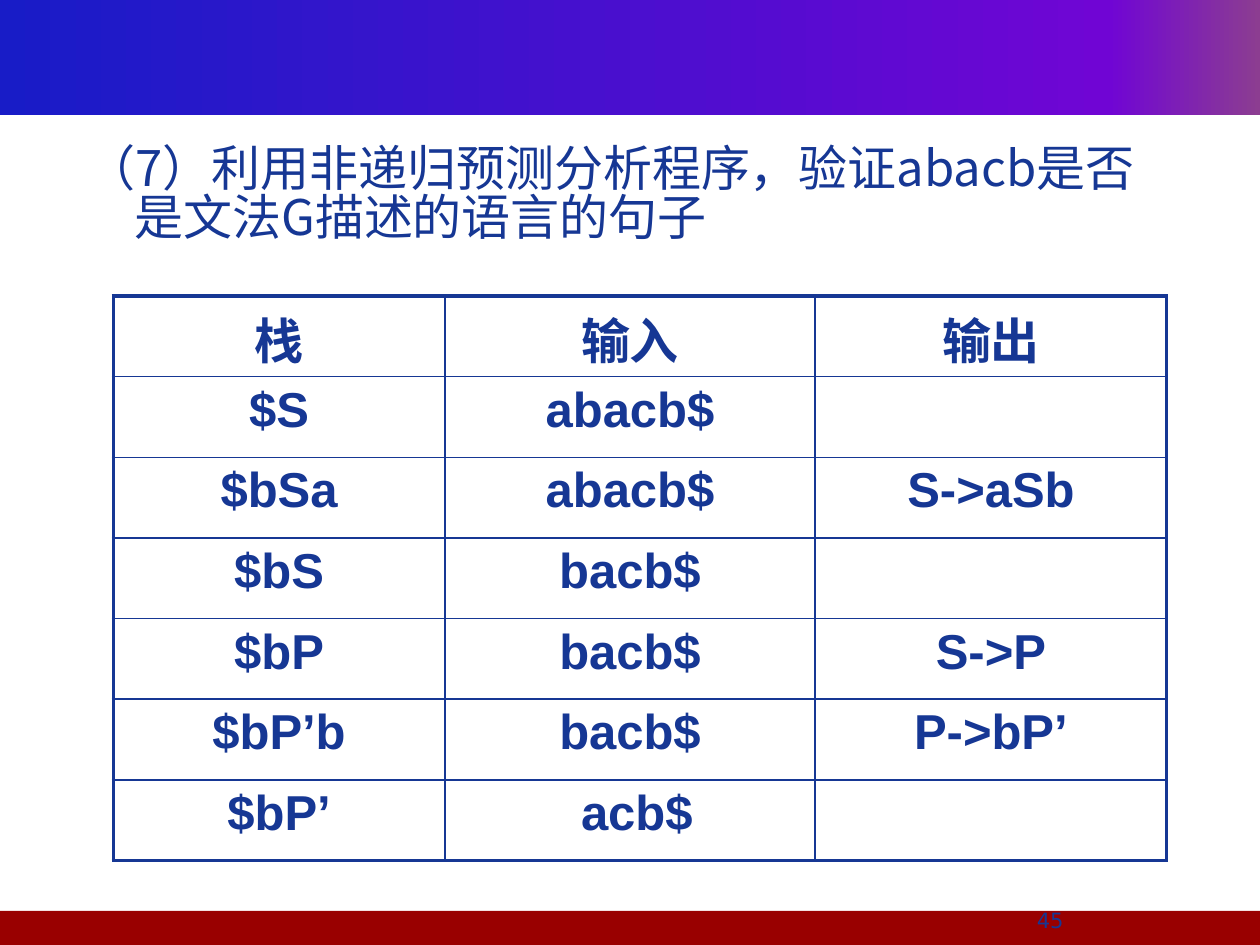
"""Build the slide that traces predictive parsing of abacb in a table."""
from lxml.etree import SubElement
from pptx import Presentation
from pptx.dml.color import RGBColor
from pptx.enum.shapes import MSO_SHAPE
from pptx.enum.text import PP_ALIGN
from pptx.oxml import parse_xml
from pptx.oxml.ns import nsdecls, qn
from pptx.util import Inches, Pt

COLORS = {"ink": "163794", "footer": "990000"}
GRADIENT = [(0, "0A128C"), (0, "181CC7"), (88, "7005D4"), (100, "8C3D91")]
CJK = "Noto Sans CJK SC"
ROWS = [
    ("栈", "输入", "输出"),
    ("$S", "abacb$", ""),
    ("$bSa", "abacb$", "S->aSb"),
    ("$bS", " bacb$ ", ""),
    ("$bP", "bacb$", "S->P"),
    ("$bP’b", "bacb$", "P->bP’"),
    ("$bP’", " acb$", ""),
]
COL_WIDTHS = [2.63, 2.94, 2.79]


def write(p, text, **formats):
    r = p.add_run()
    r.text = text
    for key, value in formats.items():
        setattr(r.font, key, value)
    r.font.color.rgb = RGBColor.from_string(COLORS["ink"])
    SubElement(r.font._element, qn("a:ea"), typeface=CJK)


def add_border(cell, side, width):
    cell._tc.get_or_add_tcPr().append(parse_xml(
        f'<a:ln{side} {nsdecls("a")} w="{Pt(width)}"><a:solidFill>'
        f'<a:srgbClr val="{COLORS["ink"]}"/></a:solidFill></a:ln{side}>'))


prs = Presentation()
prs.slide_width, prs.slide_height = Inches(10), Inches(7.5)
s = prs.slides.add_slide(prs.slide_layouts[6])

header = s.shapes.add_shape(MSO_SHAPE.RECTANGLE, 0, 0, Inches(10), Inches(0.91))
footer = s.shapes.add_shape(
    MSO_SHAPE.RECTANGLE, Inches(-0.04), Inches(7.23), Inches(10.04), Inches(0.27))
for sp in (header, footer):
    sp.shadow.inherit = False
    sp.line.fill.background()
footer.fill.solid()
footer.fill.fore_color.rgb = RGBColor.from_string(COLORS["footer"])
header.fill.gradient()
header.fill.gradient_angle = 0
stops = header._element.spPr.find(qn("a:gradFill")).find(qn("a:gsLst"))
for stop in list(stops):
    stops.remove(stop)
for position, color in GRADIENT:
    stop = SubElement(stops, qn("a:gs"), pos=str(position * 1000))
    SubElement(stop, qn("a:srgbClr"), val=color)

question = s.shapes.add_textbox(Inches(0.59), Inches(1.08), Inches(8.68), Inches(1.1))
tf = question.text_frame
tf.word_wrap = True
tf.margin_top = Inches(0.09)
p = tf.paragraphs[0]
p.line_spacing = 0.83
pPr = p._p.get_or_add_pPr()
pPr.set("marL", str(Inches(0.38)))
pPr.set("indent", str(Inches(-0.38)))
write(p, "（7）利用非递归预测分析程序，验证abacb是否是文法G描述的语言的句子",
      size=Pt(28), name=CJK)

table = s.shapes.add_table(
    len(ROWS), len(COL_WIDTHS), Inches(0.9), Inches(2.35), Inches(8.36), Inches(4.48)).table
table.first_row = table.horz_banding = False
for column, width in zip(table.columns, COL_WIDTHS):
    column.width = Inches(width)
for i, row in enumerate(ROWS):
    table.rows[i].height = Inches(0.64)
    for j, text in enumerate(row):
        cell = table.cell(i, j)
        outer = {"L": j == 0, "R": j == len(row) - 1, "T": i == 0, "B": i == len(ROWS) - 1}
        for side, is_outer in outer.items():
            add_border(cell, side, 2.25 if is_outer else 1)
        cell.fill.background()
        if text:
            p = cell.text_frame.paragraphs[0]
            p.alignment = PP_ALIGN.CENTER
            write(p, text, size=Pt(28), name="Arial", bold=True)

number = s.shapes.add_textbox(Inches(7.17), Inches(7.15), Inches(2.33), Inches(0.18))
tf = number.text_frame
tf.word_wrap = True
p = tf.paragraphs[0]
p.alignment = PP_ALIGN.CENTER
write(p, "45", size=Pt(12), name="DejaVu Sans")

prs.save("out.pptx")
